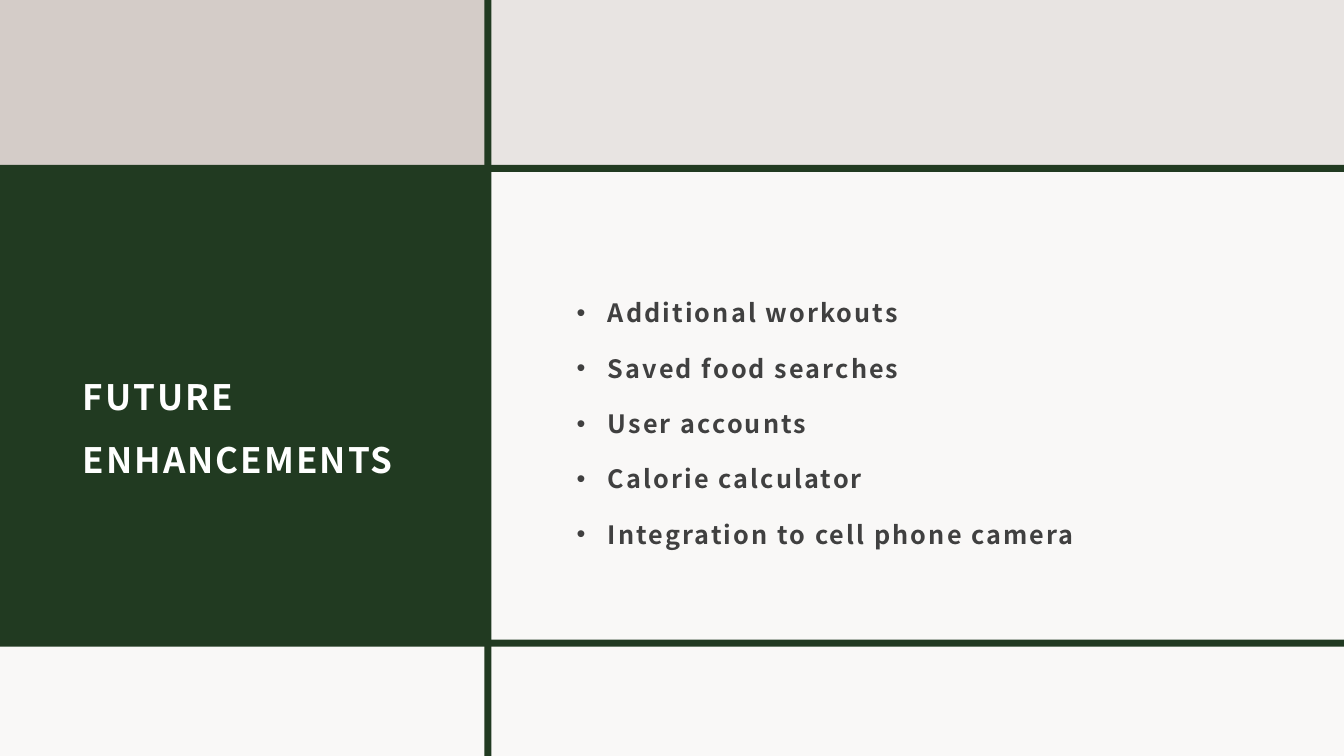
from dataclasses import dataclass

from lxml import etree
from pptx import Presentation
from pptx.dml.color import RGBColor
from pptx.enum.shapes import MSO_SHAPE
from pptx.enum.text import MSO_ANCHOR, MSO_AUTO_SIZE, PP_ALIGN
from pptx.oxml.ns import qn
from pptx.util import Inches, Pt

RECT = MSO_SHAPE.RECTANGLE
MIDDLE = MSO_ANCHOR.MIDDLE
NO_FIT = MSO_AUTO_SIZE.NONE
LEFT = PP_ALIGN.LEFT


@dataclass(frozen=True)
class Theme:
    font: str = "Noto Sans CJK JP"
    base: str = "E8E4E2"
    green: str = "213A21"
    blush: str = "D4CCC8"
    white: str = "FFFFFF"
    ink: str = "404040"
    title: float = 25
    body: float = 18
    track: float = 1.5


@dataclass(frozen=True)
class Box:
    x: float
    y: float
    w: float
    h: float

    def emu(self) -> tuple:
        return tuple(Inches(v) for v in (self.x, self.y, self.w, self.h))


@dataclass(frozen=True)
class Panel:
    col: int
    row: int
    fill: str
    span: int = 1
    alpha: int = 100


THEME = Theme()
WIDTH, HEIGHT = 13.33, 7.5
COLS = (0, 4.84, WIDTH)
ROWS = (0, 1.67, 6.38, HEIGHT)
RULE = 0.07
TEXT_TOP, TEXT_H = 2.14, 3.98
INDENT = 0.31

PANELS = (
    Panel(0, 1, THEME.green),
    Panel(0, 0, THEME.blush),
    Panel(1, 1, THEME.white, alpha=75),
    Panel(0, 2, THEME.white, span=2, alpha=75),
)
RULES = (
    *(Box(0, y - RULE / 2, WIDTH, RULE) for y in ROWS[1:-1]),
    Box(COLS[1] - RULE / 2, 0, RULE, HEIGHT),
)
ITEMS = (
    "Additional workouts",
    "Saved food searches",
    "User accounts",
    "Calorie calculator",
    "Integration to cell phone camera",
)


def cell(panel: Panel) -> Box:
    x, y = COLS[panel.col], ROWS[panel.row]
    return Box(x, y, COLS[panel.col + panel.span] - x, ROWS[panel.row + 1] - y)


def draw(slide, box: Box, fill: str, alpha: int = 100) -> None:
    shape = slide.shapes.add_shape(RECT, *box.emu())
    shape.shadow.inherit = False
    shape.line.fill.background()
    shape.fill.solid()
    shape.fill.fore_color.rgb = RGBColor.from_string(fill)
    if alpha < 100:
        color = shape.fill._xPr.find(".//" + qn("a:srgbClr"))
        etree.SubElement(color, qn("a:alpha"), val=str(alpha * 1000))


def write(holder, box: Box, lines: tuple, *, size: float, color: str,
          lead: float, before: float = 0, bullet: str = "") -> None:
    holder.left, holder.top, holder.width, holder.height = box.emu()
    frame = holder.text_frame
    frame.word_wrap = True
    frame.auto_size = NO_FIT
    frame.vertical_anchor = MIDDLE
    frame.margin_left = frame.margin_right = frame.margin_top = Inches(0.12)
    frame.margin_bottom = Inches(0.1)
    frame.text = "\n".join(lines)
    for para in frame.paragraphs:
        para.alignment = LEFT
        para.line_spacing = lead
        para.space_before = Pt(before)
        para.space_after = Pt(0)
        if bullet:
            props = para._p.get_or_add_pPr()
            props.set("marL", str(Inches(INDENT)))
            props.set("indent", str(-Inches(INDENT)))
            etree.SubElement(props, qn("a:buFont"), typeface="Arial")
            etree.SubElement(props, qn("a:buChar"), char=bullet)
        for run in para.runs:
            font = run.font
            font.name, font.size, font.bold = THEME.font, Pt(size), True
            font.color.rgb = RGBColor.from_string(color)
            run._r.get_or_add_rPr().set("spc", str(int(THEME.track * 100)))


def main() -> None:
    deck = Presentation()
    deck.slide_width, deck.slide_height = Inches(WIDTH), Inches(HEIGHT)
    slide = deck.slides.add_slide(deck.slide_layouts[1])
    back = slide.background.fill
    back.solid()
    back.fore_color.rgb = RGBColor.from_string(THEME.base)

    # Colour panels and the green rules between them
    for panel in PANELS:
        draw(slide, cell(panel), panel.fill, panel.alpha)
    for rule in RULES:
        draw(slide, rule, THEME.green)

    # Title and list, raised above the panels
    title, body = slide.placeholders
    for holder in (title, body):
        slide.shapes._spTree.append(holder._element)
    write(title, Box(0.7, TEXT_TOP, 3.73, TEXT_H), ("FUTURE ENHANCEMENTS",),
          size=THEME.title, color=THEME.white, lead=1.5)
    write(body, Box(5.6, TEXT_TOP, 7.03, TEXT_H), ITEMS,
          size=THEME.body, color=THEME.ink, lead=1.4, before=9.3, bullet="•")

    deck.save("out.pptx")


if __name__ == "__main__":
    main()
